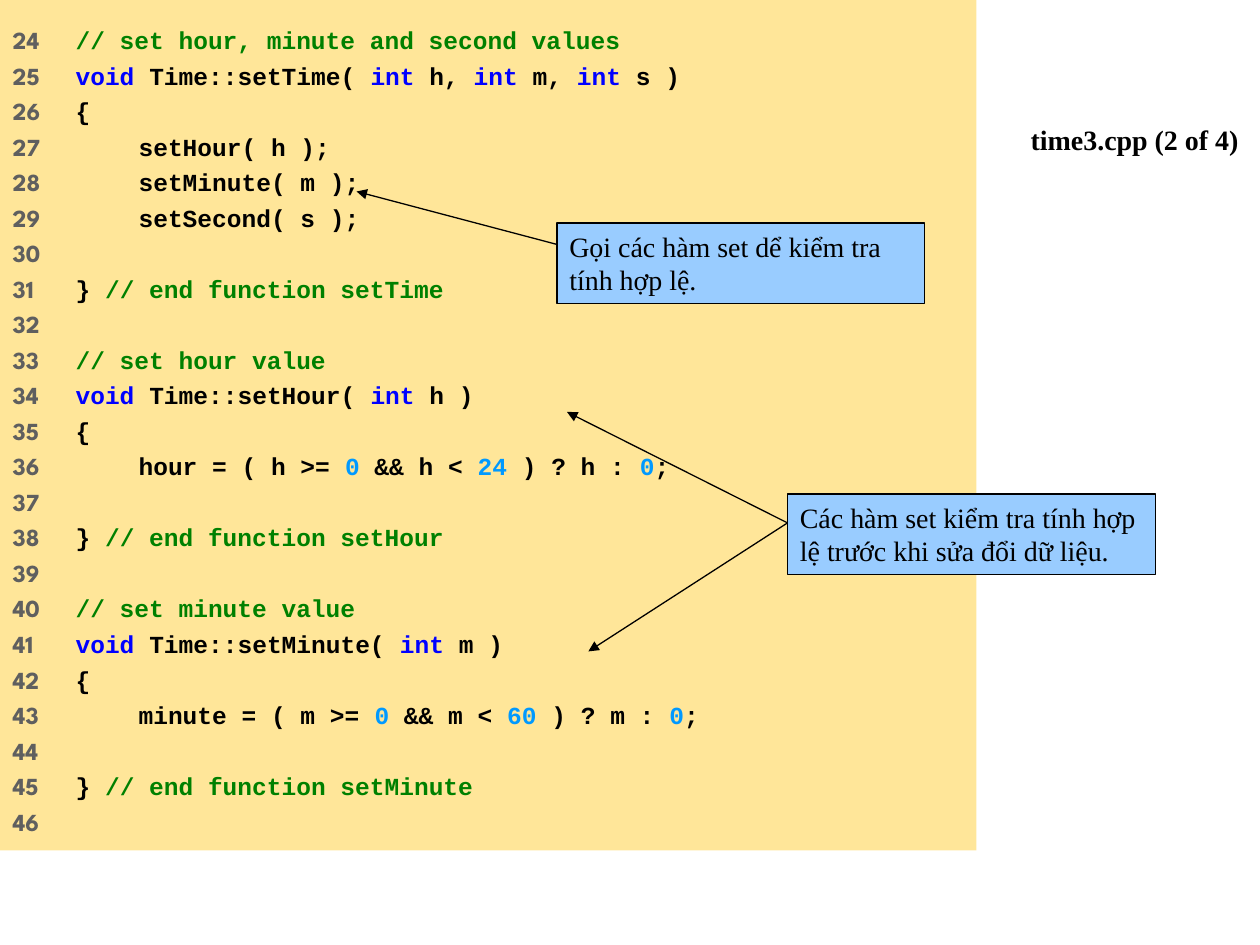
from dataclasses import dataclass

from pptx import Presentation
from pptx.dml.color import RGBColor
from pptx.enum.shapes import MSO_CONNECTOR, MSO_SHAPE
from pptx.enum.text import MSO_ANCHOR, MSO_AUTO_SIZE, PP_ALIGN
from pptx.oxml.ns import qn
from pptx.util import Inches, Pt
from lxml.etree import SubElement


@dataclass(frozen=True)
class Theme:
    """Colours, fonts and sizes of the slide."""
    panel: RGBColor = RGBColor(0xFF, 0xE6, 0x99)
    callout: RGBColor = RGBColor(0x99, 0xCC, 0xFF)
    ink: RGBColor = RGBColor(0, 0, 0)
    line_number: RGBColor = RGBColor(0x5F, 0x5F, 0x5F)
    comment: RGBColor = RGBColor(0, 0x80, 0)
    keyword: RGBColor = RGBColor(0, 0, 0xFF)
    literal: RGBColor = RGBColor(0, 0x99, 0xFF)
    text_font: str = "Times New Roman"
    code_font: str = "Courier New"
    number_font: str = "League Spartan"
    text_size: Pt = Pt(16)
    code_size: Pt = Pt(14)
    code_gap: Pt = Pt(3.5)
    line_width: Pt = Pt(0.75)


THEME = Theme()
FIRST_LINE = 24
CODE_STOPS = (0.42, 0.77)
CODE = """`// set hour, minute and second values`
`void` Time::setTime( `int` h, `int` m, `int` s )
{
\tsetHour( h );
\tsetMinute( m );
\tsetSecond( s );

} `// end function setTime`

`// set hour value`
`void` Time::setHour( `int` h )
{
\thour = ( h >= `0` && h < `24` ) ? h : `0`;

} `// end function setHour`

`// set minute value`
`void` Time::setMinute( `int` m )
{
\tminute = ( m >= `0` && m < `60` ) ? m : `0`;

} `// end function setMinute`
""".split("\n")


def place(shape, box):
    """Move a shape to a box of left, top, width and height in inches."""
    shape.left, shape.top, shape.width, shape.height = map(Inches, box)


def set_font(font, name, size, color, bold):
    """Format one font."""
    font.name, font.size, font.bold = name, size, bold
    font.color.rgb = color


def set_margins(frame, horizontal, vertical):
    """Set equal side margins and equal top and bottom margins."""
    frame.margin_left = frame.margin_right = Inches(horizontal)
    frame.margin_top = frame.margin_bottom = Inches(vertical)


def add_tab_stops(paragraph, positions):
    """Give a paragraph left tab stops at positions in inches."""
    tab_list = SubElement(paragraph._p.get_or_add_pPr(), qn("a:tabLst"))
    for position in positions:
        SubElement(tab_list, qn("a:tab"), pos=str(Inches(position)), algn="l")


def token_color(token):
    """Choose the colour of a highlighted token."""
    if token.startswith("//"):
        return THEME.comment
    return THEME.literal if token.isdigit() else THEME.keyword


def add_run(paragraph, text, color):
    """Append a coloured run."""
    run = paragraph.add_run()
    run.text = text
    run.font.color.rgb = color
    return run


def fill_code_line(paragraph, number, code):
    """Write a line number and its highlighted code."""
    paragraph.alignment = PP_ALIGN.LEFT
    paragraph.space_before = THEME.code_gap
    add_tab_stops(paragraph, CODE_STOPS)
    set_font(paragraph.font, THEME.code_font, THEME.code_size, THEME.ink, True)
    number_text = f"{number}\t" if code else str(number)
    number_run = add_run(paragraph, number_text, THEME.line_number)
    set_font(number_run.font, THEME.number_font, THEME.code_size, THEME.line_number, True)
    for index, token in enumerate(code.split("`")):
        if token:
            color = token_color(token) if index % 2 else THEME.ink
            run = add_run(paragraph, token, color)
            set_font(run.font, THEME.code_font, THEME.code_size, color, True)


def fill_title(title, box, text):
    """Place the file name in the title placeholder."""
    place(title, box)
    frame = title.text_frame
    frame.text = text
    frame.word_wrap = True
    frame.auto_size = MSO_AUTO_SIZE.NONE
    frame.vertical_anchor = MSO_ANCHOR.TOP
    set_margins(frame, 0.1, 0.05)
    paragraph = frame.paragraphs[0]
    paragraph.alignment = PP_ALIGN.LEFT
    set_font(paragraph.font, THEME.text_font, THEME.text_size, THEME.ink, True)


def fill_code_panel(panel, box, lines):
    """Place the numbered listing in the body placeholder."""
    place(panel, box)
    panel.fill.solid()
    panel.fill.fore_color.rgb = THEME.panel
    frame = panel.text_frame
    frame.word_wrap = True
    frame.auto_size = MSO_AUTO_SIZE.NONE
    frame.vertical_anchor = MSO_ANCHOR.TOP
    set_margins(frame, 0.1, 0.2)
    for index, code in enumerate(lines):
        paragraph = frame.add_paragraph() if index else frame.paragraphs[0]
        fill_code_line(paragraph, FIRST_LINE + index, code)


def add_arrow(shapes, start, end):
    """Draw a straight arrow between two points in inches."""
    arrow = shapes.add_connector(MSO_CONNECTOR.STRAIGHT, *map(Inches, start + end))
    arrow.line.color.rgb = THEME.ink
    arrow.line.width = THEME.line_width
    SubElement(arrow.line._get_or_add_ln(), qn("a:tailEnd"), type="triangle")
    SubElement(arrow._element.spPr, qn("a:effectLst"))


def add_callout(slide, box, text, arrow_drop, targets):
    """Group a note with arrows from its left side to the code."""
    shapes = slide.shapes.add_group_shape().shapes
    note = shapes.add_shape(MSO_SHAPE.RECTANGLE, *map(Inches, box))
    note.shadow.inherit = False
    note.fill.solid()
    note.fill.fore_color.rgb = THEME.callout
    note.line.color.rgb = THEME.ink
    note.line.width = THEME.line_width
    frame = note.text_frame
    frame.text = text
    frame.word_wrap = True
    frame.auto_size = MSO_AUTO_SIZE.SHAPE_TO_FIT_TEXT
    frame.vertical_anchor = MSO_ANCHOR.TOP
    set_margins(frame, 0.1, 0.05)
    paragraph = frame.paragraphs[0]
    paragraph.alignment = PP_ALIGN.LEFT
    set_font(paragraph.font, THEME.text_font, THEME.text_size, THEME.ink, False)
    left, top = box[:2]
    for target in targets:
        add_arrow(shapes, (left, top + arrow_drop), target)


def main():
    """Build and save the slide."""
    presentation = Presentation()
    presentation.slide_width, presentation.slide_height = Inches(10), Inches(7.5)
    slide = presentation.slides.add_slide(presentation.slide_layouts[0])
    fill_title(slide.shapes.title, (8.08, 0.92, 1.92, 5.25), "time3.cpp (2 of 4)")
    fill_code_panel(slide.placeholders[1], (0, 0, 7.75, 6.75), CODE)
    add_callout(slide, (4.42, 1.77, 2.92, 0.64),
                "Gọi các hàm set dể kiểm tra tính hợp lệ.",
                0.17, [(2.83, 1.52)])
    add_callout(slide, (6.25, 3.92, 2.92, 0.64),
                "Các hàm set kiểm tra tính hợp lệ trước khi sửa đổi dữ liệu.",
                0.23, [(4.67, 5.17), (4.5, 3.27)])
    presentation.save("out.pptx")


if __name__ == "__main__":
    main()
